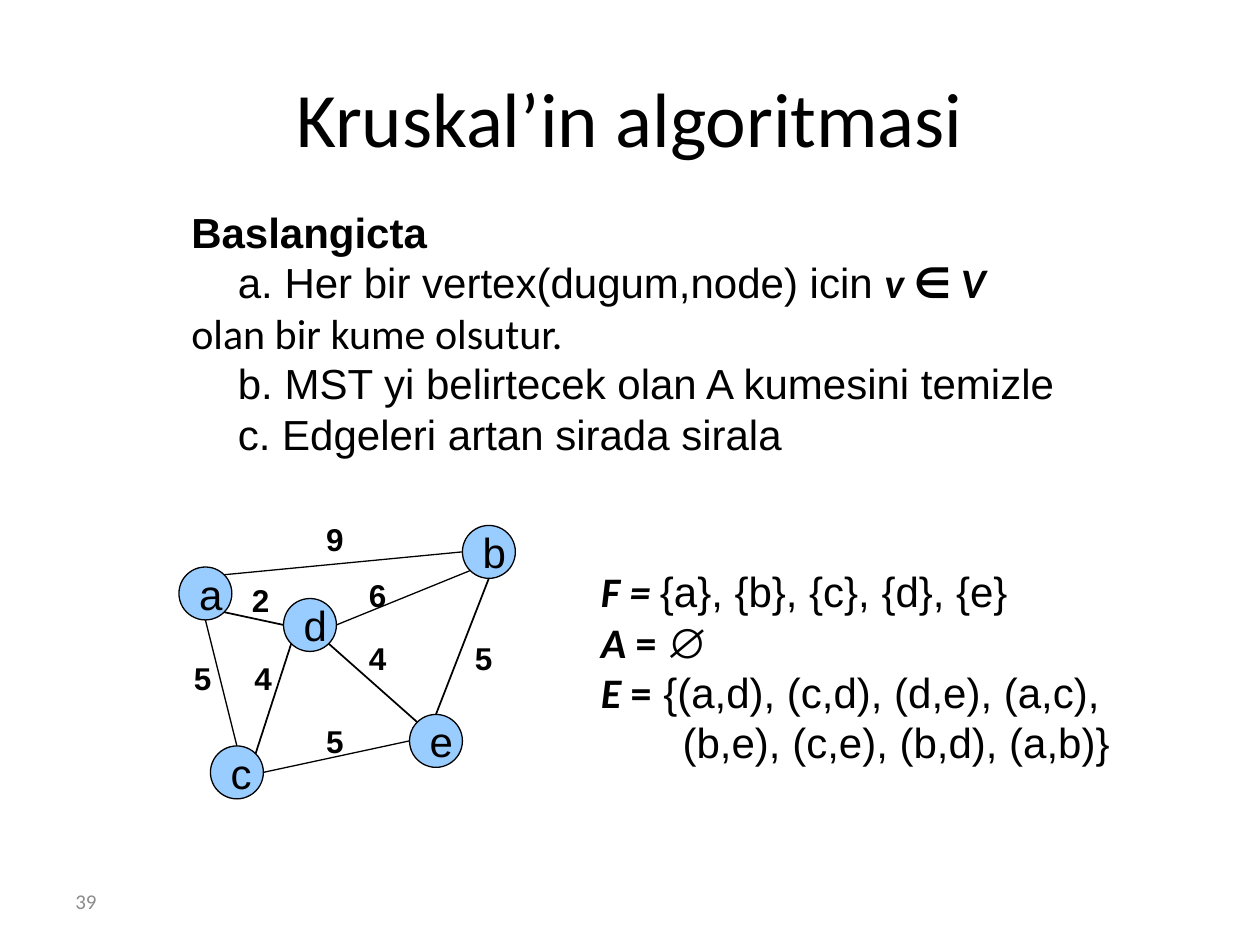
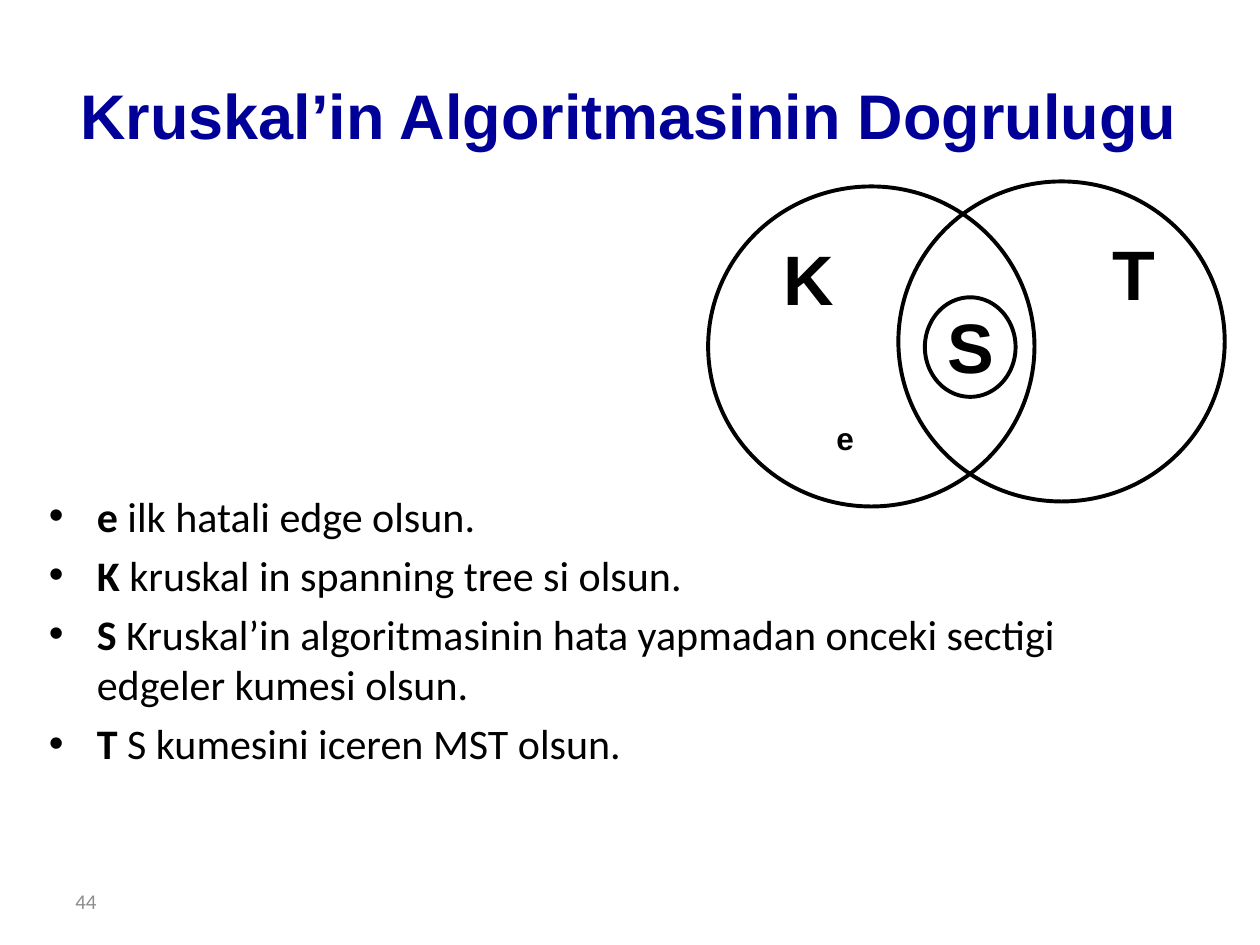
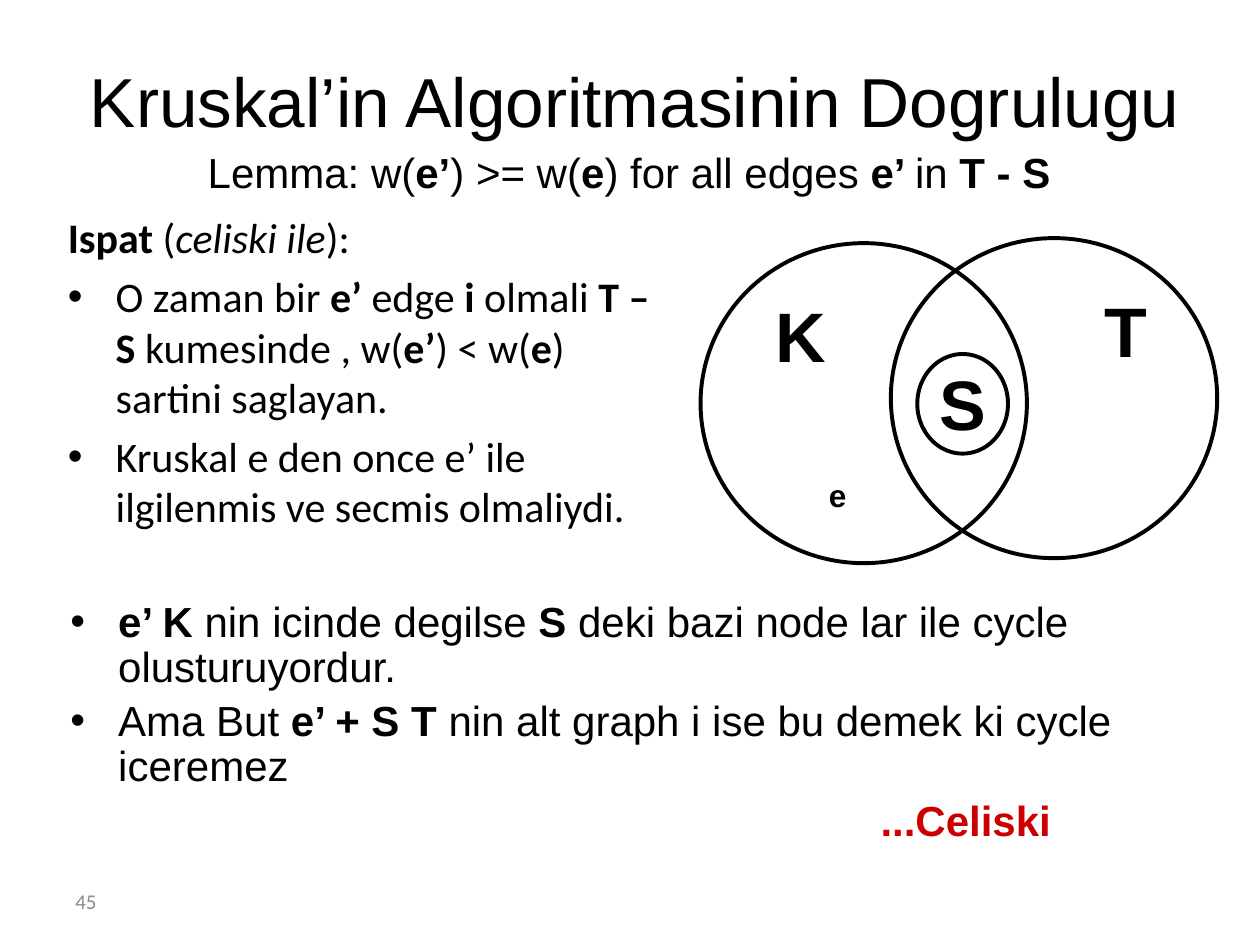
import dataclasses

import pptx
import pptx.dml.color
import pptx.enum.shapes
import pptx.enum.text
import pptx.oxml.ns
import pptx.util
from lxml import etree

Inches = pptx.util.Inches
Pt = pptx.util.Pt
ALIGN = pptx.enum.text.PP_ALIGN
ANCHOR = pptx.enum.text.MSO_ANCHOR
qn = pptx.oxml.ns.qn

COLORS = {"ink": "000000", "node": "99CCFF", "title": "000099",
          "alert": "CC0000", "footer": "8C8C8C"}
HEADING, BODY = "Arial", "Calibri"
HANG = 0.38


@dataclasses.dataclass
class Style:
    font: str = HEADING
    size: float = 24
    color: str = "ink"
    emphasis_font: str = ""
    align: ALIGN = ALIGN.LEFT
    before: float = 0
    line: float = 1.0


@dataclasses.dataclass
class Line:
    """A paragraph whose *stars* mark bold and _underscores_ mark italic."""
    text: str
    left: float = 0
    first: float = 0
    bullet: bool = False
    changes: dict = dataclasses.field(default_factory=dict)


def bullet(text):
    return Line(text, HANG, -HANG, True)


def rgb(name):
    return pptx.dml.color.RGBColor.from_string(COLORS[name])


def write_spans(para, text, style):
    for star, chunk in enumerate(text.split("*")):
        for mark, piece in enumerate(chunk.split("_")):
            if not piece:
                continue
            span = para.add_run()
            span.text = piece
            bold = star % 2 == 1
            span.font.name = style.emphasis_font if bold and style.emphasis_font else style.font
            span.font.size = Pt(style.size)
            span.font.color.rgb = rgb(style.color)
            span.font.bold = bold
            span.font.italic = mark % 2 == 1


def write(frame, lines, style, anchor=ANCHOR.TOP):
    frame.word_wrap = True
    frame.vertical_anchor = anchor
    for index, line in enumerate(lines):
        para = frame.add_paragraph() if index else frame.paragraphs[0]
        look = dataclasses.replace(style, **line.changes)
        para.alignment = look.align
        para.space_before = Pt(look.before)
        para.line_spacing = look.line
        props = para._p.get_or_add_pPr()
        props.set("marL", str(Inches(line.left)))
        props.set("indent", str(Inches(line.first)))
        if line.bullet:
            etree.SubElement(props, qn("a:buFont")).set("typeface", "Arial")
            etree.SubElement(props, qn("a:buChar")).set("char", "•")
        write_spans(para, line.text, look)


def add_text(page, box, lines, style, anchor=ANCHOR.TOP):
    shape = page.shapes.add_textbox(*map(Inches, box))
    write(shape.text_frame, lines, style, anchor)


def add_ellipse(page, box, line_width, fill=None):
    shape = page.shapes.add_shape(pptx.enum.shapes.MSO_SHAPE.OVAL, *map(Inches, box))
    shape.shadow.inherit = False
    if fill:
        shape.fill.solid()
        shape.fill.fore_color.rgb = rgb(fill)
    else:
        shape.fill.background()
    shape.line.color.rgb = rgb("ink")
    shape.line.width = Pt(line_width)
    return shape


def add_edge(page, start, end, width):
    edge = page.shapes.add_connector(pptx.enum.shapes.MSO_CONNECTOR.STRAIGHT,
                                     *map(Inches, start + end))
    edge.line.color.rgb = rgb("ink")
    edge.line.width = Pt(width)
    etree.SubElement(edge._element.spPr, qn("a:effectLst"))


def add_page(deck, number):
    page = deck.slides.add_slide(deck.slide_layouts[6])
    add_text(page, (0.5, 6.95, 2.33, 0.4), [Line(str(number))],
             Style(BODY, 12, "footer"), ANCHOR.MIDDLE)
    return page


def add_title(page, box, text, **look):
    add_text(page, box, [Line(text)], Style(align=ALIGN.CENTER, **look), ANCHOR.MIDDLE)


NODE = 0.42
NODES = {"a": (0, 0.42), "b": (2.25, 0.09), "c": (0.25, 1.84),
         "d": (0.83, 0.67), "e": (1.83, 1.59)}
# ends with their compass sites, line width, weight, place of the weight
EDGES = [("a", "NE", "b", "W", 0.75, "9", (1.07, 0)),
         ("d", "E", "b", "SW", 0.75, "6", (1.41, 0.44)),
         ("a", "S", "c", "N", 0.75, "5", (0.02, 1.1)),
         ("a", "SE", "d", "W", 1, "2", (0.48, 0.48)),
         ("c", "NE", "d", "SW", 1, "4", (0.5, 1.1)),
         ("d", "SE", "e", "NW", 1, "4", (1.41, 0.94)),
         ("b", "S", "e", "N", 1, "5", (2.25, 0.94)),
         ("e", "W", "c", "E", 0.75, "5", (1.07, 1.6))]


def node_site(name, site):
    """Point on the rim of a node in a compass direction."""
    across = ("E" in site) - ("W" in site)
    down = ("S" in site) - ("N" in site)
    reach = NODE / 2 * (0.5 ** 0.5 if across and down else 1)
    x, y = NODES[name]
    return x + NODE / 2 + across * reach, y + NODE / 2 + down * reach


def add_graph(page, left, top):
    def place(point):
        return left + point[0], top + point[1]

    for name, corner in NODES.items():
        node = add_ellipse(page, place(corner) + (NODE, NODE), 0.75, "node")
        write(node.text_frame, [Line(name)], Style(align=ALIGN.CENTER), ANCHOR.MIDDLE)
    for start, start_site, end, end_site, width, weight, corner in EDGES:
        add_edge(page, place(node_site(start, start_site)),
                 place(node_site(end, end_site)), width)
        add_text(page, place(corner) + (0.34, 0.4), [Line(f"*{weight}*")], Style(size=18))


def add_venn(page, left, top):
    """Sets K and T, with S inside their overlap and edge e in K."""
    for x, y, width, height in [(0, 0.04, 2.59, 2.54), (1.51, 0, 2.59, 2.54),
                                (1.72, 0.92, 0.72, 0.79)]:
        add_ellipse(page, (left + x, top + y, width, height), 2.25)
    for name, x, y, width, height, size in [
            ("K", 0.5, 0.38, 0.6, 0.77, 40), ("T", 3.11, 0.34, 0.54, 0.77, 40),
            ("S", 1.8, 0.92, 0.57, 0.77, 40), ("e", 0.92, 1.84, 0.45, 0.63, 18)]:
        add_text(page, (left + x, top + y, width, height), [Line(f"*{name}*")],
                 Style(size=size))


def build_algorithm(deck):
    page = add_page(deck, 39)
    add_title(page, (0.5, 0.3, 9, 1.25), "Kruskal’in algoritmasi", font=BODY, size=44)
    style = Style(emphasis_font=BODY)
    add_text(page, (1.42, 1.59, 7.17, 2.12), [
        Line("*Baslangicta*", changes={"emphasis_font": HEADING}),
        Line("a. Her bir vertex(dugum,node) icin *_v _∈ _V_*", 0.37),
        Line("olan bir kume olsutur.", changes={"font": BODY}),
        Line("b. MST yi belirtecek olan A kumesini temizle", 0.37),
        Line("c. Edgeleri artan sirada sirala", 0.37)], style)
    add_graph(page, 1.42, 4.08)
    add_text(page, (4.67, 4.44, 4.34, 1.7), [
        Line("*_F = _*{a}, {b}, {c}, {d}, {e}"),
        Line("*_A _= *∅"),
        Line("*_E _=* {(a,d), (c,d), (d,e), (a,c),"),
        Line("(b,e), (c,e), (b,d), (a,b)}", 0.65)], style, ANCHOR.MIDDLE)


def build_definitions(deck):
    page = add_page(deck, 44)
    add_text(page, (0.29, 3.84, 8.89, 2.76), [
        bullet("*e *ilk hatali edge olsun."),
        bullet("*K *kruskal in spanning tree si olsun."),
        bullet("*S *Kruskal’in algoritmasinin hata yapmadan onceki sectigi "
               "edgeler kumesi olsun."),
        bullet("*T* S kumesini iceren MST olsun.")], Style(BODY, before=5))
    add_venn(page, 5.62, 1.44)
    add_title(page, (0.4, 0.28, 9.18, 1.25), "*Kruskal’in Algoritmasinin Dogrulugu*",
              size=36, color="title")


def build_proof(deck):
    page = add_page(deck, 45)
    add_text(page, (0.44, 1.63, 4.94, 3.06), [
        Line("*Ispat* (_celiski ile_):", HANG, -HANG),
        bullet("O zaman bir *e’ *edge *i *olmali *T – S *kumesinde , "
               "w(*e’*) < w(*e*) sartini saglayan."),
        bullet("Kruskal e den once e’ ile ilgilenmis ve secmis olmaliydi.")],
        Style(BODY, before=5))
    add_venn(page, 5.56, 1.89)
    add_text(page, (1.55, 1.11, 6.91, 1.03),
             [Line("Lemma: w(*e’*) >= w(*e*) for all edges *e’ *in *T - S*")],
             Style(before=5))
    add_text(page, (0.46, 4.72, 8.75, 2.89), [
        bullet("*e’ K *nin icinde degilse *S *deki bazi node lar ile cycle olusturuyordur."),
        bullet("Ama But *e’ + S T *nin alt graph i ise bu demek ki cycle iceremez"),
        Line("*...Celiski*", 6.43, changes={"color": "alert"})],
        Style(before=5, line=0.9))
    add_title(page, (0.45, 0.17, 9.18, 1.25), "Kruskal’in Algoritmasinin Dogrulugu",
              size=39.6)


def main():
    deck = pptx.Presentation()
    deck.slide_width, deck.slide_height = Inches(10), Inches(7.5)
    build_algorithm(deck)
    build_definitions(deck)
    build_proof(deck)
    deck.save("out.pptx")


if __name__ == "__main__":
    main()
